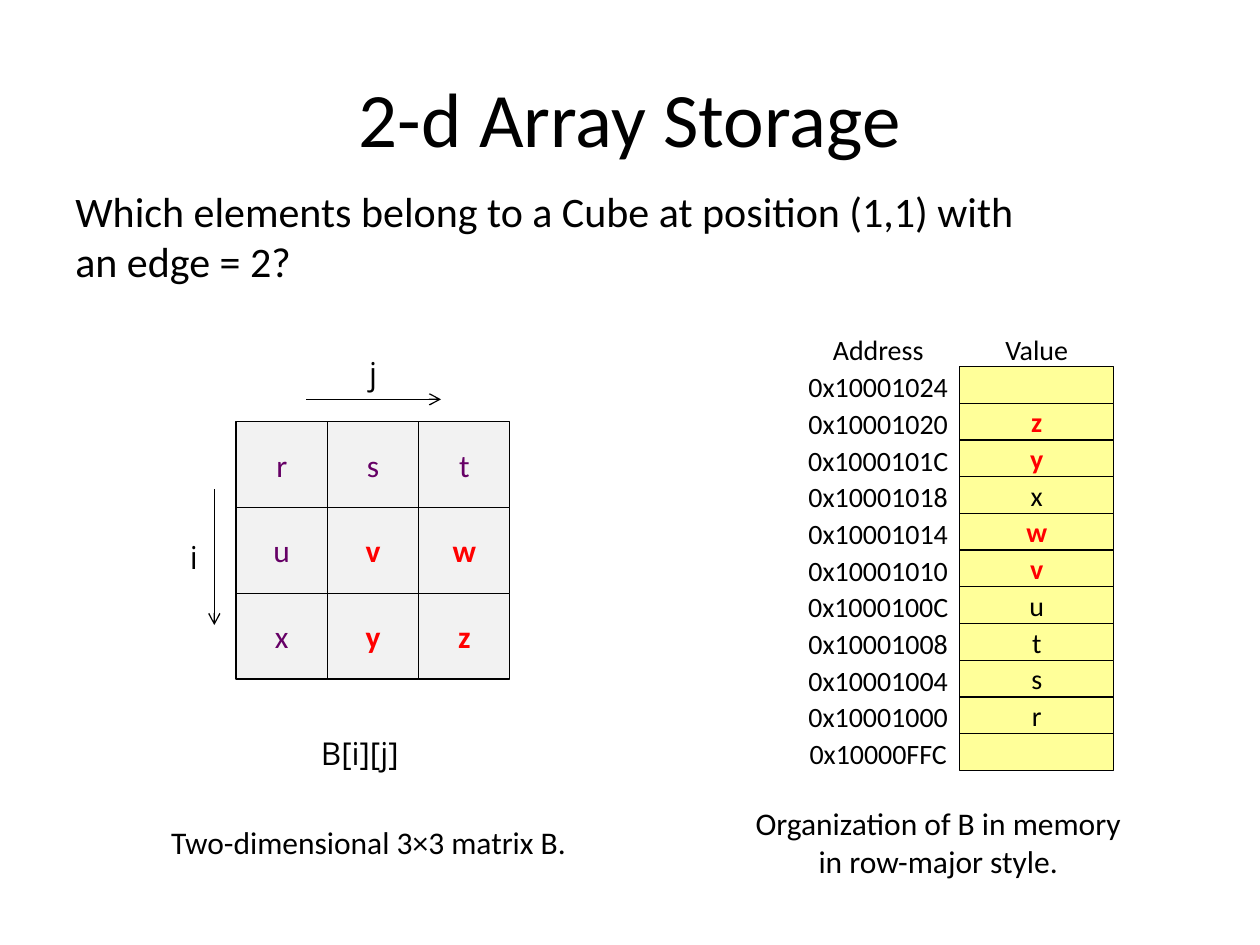
from pptx import Presentation, util as u
from pptx.dml.color import RGBColor
from pptx.enum import shapes, text
from pptx.oxml.ns import qn
from lxml import etree

presentation = Presentation()
presentation.slide_width, presentation.slide_height = u.Cm(25.4), u.Cm(19.05)
slide = presentation.slides.add_slide(presentation.slide_layouts[6])

BLACK, RED, PURPLE = "000000", "FF0000", "660066"
ALIGN = {"left": text.PP_ALIGN.LEFT, "center": text.PP_ALIGN.CENTER}


def write(shape, lines, size=18, font="Calibri", color=BLACK, bold=False,
          align="center", anchor=text.MSO_ANCHOR.MIDDLE, wrap=False):
    frame = shape.text_frame
    frame.word_wrap = wrap
    frame.vertical_anchor = anchor
    frame.text = lines
    style = {"size": u.Pt(size), "name": font, "bold": bold}
    for paragraph in frame.paragraphs:
        paragraph.alignment = ALIGN[align]
        for name, value in style.items():
            setattr(paragraph.runs[0].font, name, value)
        paragraph.runs[0].font.color.rgb = RGBColor.from_string(color)


def add_cell(left, top, width, height, fill, value, **style):
    shape = slide.shapes.add_shape(shapes.MSO_SHAPE.RECTANGLE, u.Cm(left), u.Cm(top), u.Cm(width), u.Cm(height))
    shape.shadow.inherit = False
    shape.fill.solid()
    shape.fill.fore_color.rgb = RGBColor.from_string(fill)
    shape.line.color.rgb = RGBColor.from_string(BLACK)
    shape.line.width = u.Pt(0.75)
    for side in ("left", "right", "top", "bottom"):
        setattr(shape.text_frame, f"margin_{side}", 0)
    if value:
        write(shape, value, **style)


highlighted = "vwyz"

memory_left, memory_top, memory_width, row_height = 19.35, 7.39, 3.1, 0.74
address_left, address_width, label_height = 16.03, 3.35, 0.94
memory = [
    ("0x10001024", ""), ("0x10001020", "z"), ("0x1000101C", "y"),
    ("0x10001018", "x"), ("0x10001014", "w"), ("0x10001010", "v"),
    ("0x1000100C", "u"), ("0x10001008", "t"), ("0x10001004", "s"),
    ("0x10001000", "r"), ("0x10000FFC", ""),
]
labels = [("Address", address_left, memory_top - 0.81, address_width),
          ("Value", memory_left, memory_top - 0.81, memory_width)]
for row, (address, value) in enumerate(memory):
    top = memory_top + row * row_height
    marked = value != "" and value in highlighted
    add_cell(memory_left, top, memory_width, row_height, "FFFF99", value,
             size=16, color=RED if marked else BLACK, bold=marked)
    labels.append((address, address_left, top - 0.07, address_width))

for label, left, top, width in labels:
    box = slide.shapes.add_textbox(u.Cm(left), u.Cm(top), u.Cm(width), u.Cm(label_height))
    write(box, label, size=16)

matrix_left, matrix_top, cell_width, cell_height = 4.76, 8.5, 1.84, 1.73
for row, values in enumerate(("rst", "uvw", "xyz")):
    for column, value in enumerate(values):
        marked = value in highlighted
        add_cell(matrix_left + column * cell_width, matrix_top + row * cell_height,
                 cell_width, cell_height, "F2F2F2", value,
                 color=RED if marked else PURPLE, bold=marked)

for x1, y1, x2, y2 in ((4.32, 9.86, 4.32, 12.6), (6.17, 8.05, 8.89, 8.05)):
    arrow = slide.shapes.add_connector(shapes.MSO_CONNECTOR.STRAIGHT, u.Cm(x1), u.Cm(y1), u.Cm(x2), u.Cm(y2))
    arrow.line.color.rgb = RGBColor.from_string(BLACK)
    arrow.line.width = u.Pt(0.75)
    etree.SubElement(arrow.line._get_or_add_ln(), qn("a:tailEnd"), type="arrow")
    etree.SubElement(arrow._element.spPr, qn("a:effectLst"))

top_left = {"align": "left", "anchor": text.MSO_ANCHOR.TOP}
index_style = {"font": "Open Sans", **top_left}
texts = [
    ("2-d Array Storage", 1.27, 0.76, 22.86, 3.18, {"size": 44, "wrap": True}),
    ("Which elements belong to a Cube at position (1,1) with\nan edge = 2?",
     1.27, 3.61, 19.61, 2.31, {"size": 24, **top_left}),
    ("B[i][j]", 6.22, 14.68, 2.51, 1.02, index_style),
    ("i", 3.58, 10.72, 0.69, 1.02, index_style),
    ("j", 7.19, 7.01, 0.76, 1.02, index_style),
    ("Two-dimensional 3×3 matrix B.", 3.2, 16.46, 8.56, 1.02, top_left),
    ("Organization of B in memory\nin row-major style.", 14.94, 16.08, 7.95, 1.8,
     {"anchor": text.MSO_ANCHOR.TOP}),
]
for lines, left, top, width, height, style in texts:
    box = slide.shapes.add_textbox(u.Cm(left), u.Cm(top), u.Cm(width), u.Cm(height))
    write(box, lines, **style)

presentation.save("out.pptx")
